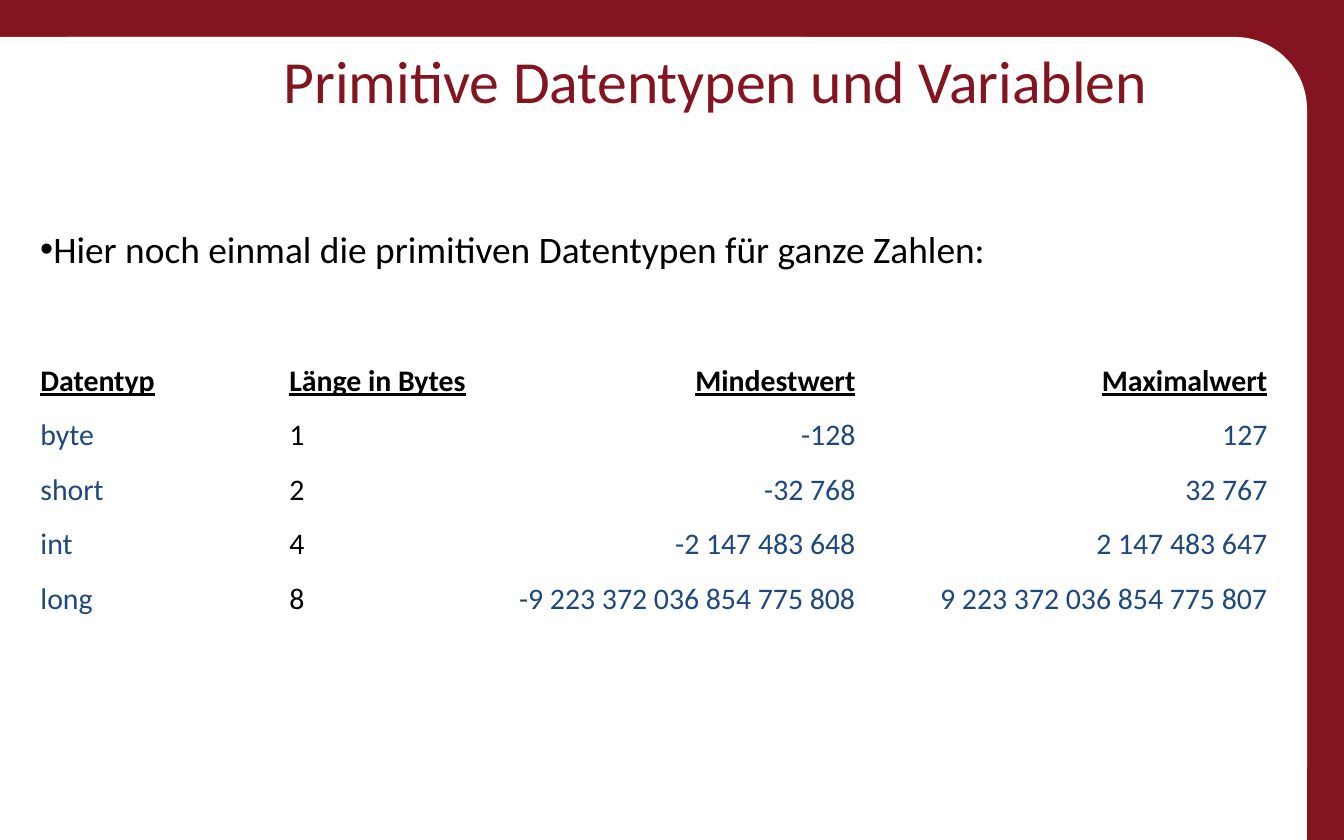
from dataclasses import dataclass

from lxml import etree
from pptx import Presentation
from pptx.dml.color import RGBColor
from pptx.enum.shapes import MSO_SHAPE
from pptx.enum.text import MSO_ANCHOR, MSO_AUTO_SIZE, PP_ALIGN
from pptx.oxml.ns import qn
from pptx.util import Pt

LEFT, RIGHT = PP_ALIGN.LEFT, PP_ALIGN.RIGHT
TOP = MSO_ANCHOR.TOP
RECT, ROUNDED = MSO_SHAPE.RECTANGLE, MSO_SHAPE.ROUNDED_RECTANGLE
TITLE_ONLY = 5
EMU_PER_PX = 9144000 / 1344


@dataclass(frozen=True)
class Theme:
    font: str = "Calibri"
    maroon: str = "831420"
    white: str = "FFFFFF"
    black: str = "000000"
    blue: str = "1F497D"
    title_size: int = 32
    body_size: int = 20
    table_size: int = 16


theme = Theme()


def px(length):
    return round(length * EMU_PER_PX)


def write(frame, text, *, size, color, align=LEFT, bold=False, underline=False):
    """Fill the first paragraph of a text frame and return that paragraph."""
    paragraph = frame.paragraphs[0]
    paragraph.alignment = align
    run = paragraph.add_run()
    run.text = text
    run.font.name = theme.font
    run.font.size = Pt(size)
    run.font.bold = bold
    run.font.underline = underline
    run.font.color.rgb = RGBColor.from_string(color)
    return paragraph


prs = Presentation()
prs.slide_width, prs.slide_height = px(1344), px(840)
slide = prs.slides.add_slide(prs.slide_layouts[TITLE_ONLY])
slide.background.fill.solid()
slide.background.fill.fore_color.rgb = RGBColor.from_string(theme.maroon)

# White page: only its top right corner stays rounded
page_parts = [
    (ROUNDED, 0, 37, 1307, 803),
    (RECT, 0, 37, 803, 803),
    (RECT, 820, 642, 487, 198),
]
for preset, *box in page_parts:
    part = slide.shapes.add_shape(preset, *map(px, box))
    part.shadow.inherit = False
    part.fill.solid()
    part.fill.fore_color.rgb = RGBColor.from_string(theme.white)
    part.line.fill.background()
    if preset == ROUNDED:
        part.adjustments[0] = 0.09

# Title, brought in front of the page
title = slide.shapes.title
title.left, title.top, title.width, title.height = map(px, (270, 37, 1016, 79))
title.text_frame.word_wrap = True
title.text_frame.auto_size = MSO_AUTO_SIZE.NONE
title.text_frame.vertical_anchor = TOP
write(title.text_frame, "Primitive Datentypen und Variablen",
      size=theme.title_size, color=theme.maroon)
slide.shapes._spTree.append(title._element)

# Introductory bullet
intro = slide.shapes.add_textbox(*map(px, (27, 220, 1249, 60)))
intro.text_frame.word_wrap = True
intro_line = write(intro.text_frame,
                   "Hier noch einmal die primitiven Datentypen für ganze Zahlen:",
                   size=theme.body_size, color=theme.black)
bullet_format = intro_line._p.get_or_add_pPr()
bullet_format.set("marL", "0")
bullet_format.set("indent", "0")
etree.SubElement(bullet_format, qn("a:buFont"), typeface="Arial")
etree.SubElement(bullet_format, qn("a:buChar"), char="•")

# Integer types
rows = [
    ("Datentyp", "Länge in Bytes", "Mindestwert", "Maximalwert"),
    ("byte", "1", "-128", "127"),
    ("short", "2", "-32 768", "32 767"),
    ("int", "4", "-2 147 483 648", "2 147 483 647"),
    ("long", "8", "-9 223 372 036 854 775 808", "9 223 372 036 854 775 807"),
]
columns = [
    (249, LEFT, theme.blue),
    (222, LEFT, theme.black),
    (371, RIGHT, theme.blue),
    (412, RIGHT, theme.blue),
]
table_width = sum(width for width, _, _ in columns)
types_table = slide.shapes.add_table(
    len(rows), len(columns), *map(px, (27, 356, table_width, 273))).table
types_table.first_row = False
types_table.horz_banding = False

for c, (width, align, value_color) in enumerate(columns):
    types_table.columns[c].width = px(width)
    for r, row in enumerate(rows):
        header = r == 0
        cell = types_table.cell(r, c)
        write(cell.text_frame, row[c], size=theme.table_size, align=align,
              color=theme.black if header else value_color,
              bold=header, underline=header)
        cell.fill.background()
        cell_format = cell._tc.get_or_add_tcPr()
        for position, side in enumerate(("lnL", "lnR", "lnT", "lnB")):
            thick = (header and side == "lnB") or (r == 1 and side == "lnT")
            border = etree.Element(qn(f"a:{side}"), w=str(Pt(3 if thick else 1)))
            border_fill = etree.SubElement(border, qn("a:solidFill"))
            etree.SubElement(border_fill, qn("a:srgbClr"), val=theme.white)
            cell_format.insert(position, border)

prs.save("out.pptx")
